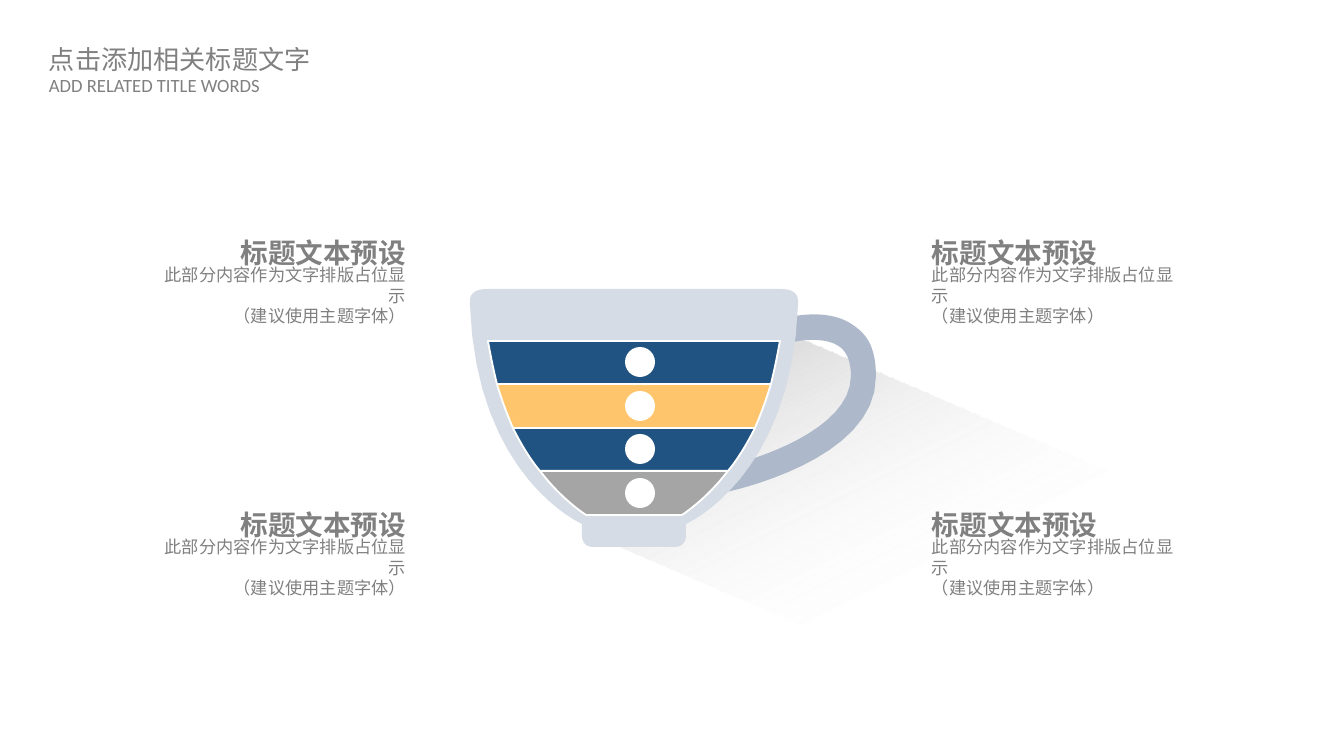
"""Build the layered cup slide with its four captions."""
import copy

import lxml.etree
import pptx
import pptx.dml.color
import pptx.enum.shapes
import pptx.enum.text
import pptx.oxml.ns
import pptx.util

PX = 914400 / 134.4
CUP_AXIS = 634
CURVE_STEPS = 16
CJK, LATIN = "Noto Sans CJK SC", "Calibri"
COLORS = {
    "text": "808080", "cup": "D6DCE5", "handle": "ADB9CA", "navy": "205381",
    "amber": "FFC56C", "gray": "A5A5A5", "white": "FFFFFF",
    "glow": "4991D2", "shade": "BFBFBF",
}
ALIGN = pptx.enum.text.PP_ALIGN
ANCHOR = pptx.enum.text.MSO_ANCHOR
SHAPES = pptx.enum.shapes.MSO_SHAPE

HANDLE = [
    [(722, 493)], [(718, 468)],
    [(754, 461), (851, 430), (851, 376)], [(851, 362), (847, 352), (840, 347)],
    [(824, 335), (793, 341), (782, 345)], [(774, 321)],
    [(780, 319), (825, 305), (853, 325)], [(870, 336), (876, 352), (876, 376)],
    [(877, 461), (728, 492), (722, 493)],
]
CUP_LEFT = [
    [(488, 289)], [(468, 289), (470, 300), (470, 305)],
    [(476, 478), (582, 524), (582, 524)], [(582, 536)],
    [(582, 536), (582, 547), (593, 547)],
]
BANDS = [
    ("navy", [[(488, 341)], [(491, 358), (494, 372), (497, 384)]]),
    ("amber", [[(497, 384)], [(502, 401), (507, 414), (513, 428)]]),
    ("navy", [[(513, 428)], [(521, 444), (530, 459), (540, 471)]]),
    ("gray", [[(540, 471)], [(562, 500), (586, 515), (586, 515)]]),
]


def px(length):
    return pptx.util.Emu(round(length * PX))


def rgb(name):
    return pptx.dml.color.RGBColor.from_string(COLORS[name])


def set_all(target, values):
    for name, value in values.items():
        setattr(target, name, value)


def trace(segments):
    """Turn line and cubic segments into a list of points."""
    points = []
    for segment in segments:
        if len(segment) == 1:
            points += segment
            continue
        controls = [points[-1], *segment]
        for step in range(1, CURVE_STEPS + 1):
            t = step / CURVE_STEPS
            weights = ((1 - t) ** 3, 3 * t * (1 - t) ** 2, 3 * t * t * (1 - t), t ** 3)
            points.append(tuple(sum(w * c[axis] for w, c in zip(weights, controls))
                                for axis in (0, 1)))
    return points


def mirror(left):
    """Close a left profile with its reflection about the cup axis."""
    return left + [(2 * CUP_AXIS - x, y) for x, y in reversed(left)]


def paint(shape, fill, line=None):
    shape.shadow.inherit = False
    shape.fill.solid()
    shape.fill.fore_color.rgb = rgb(fill)
    if line:
        shape.line.color.rgb = rgb(line)
        shape.line.width = pptx.util.Pt(1)
    else:
        shape.line.fill.background()


def add_outline(slide, points, fill, line=None):
    start, *rest = [(px(x), px(y)) for x, y in points]
    builder = slide.shapes.build_freeform(*start, scale=1.0)
    builder.add_line_segments(rest, close=True)
    paint(builder.convert_to_shape(), fill, line)


def add_cast_shadow(slide):
    """Add the tilted rectangle that fades out to the lower right."""
    cast = slide.shapes.add_shape(SHAPES.RECTANGLE, px(636), px(419), px(648), px(263))
    paint(cast, "shade")
    cast.rotation = 23.3
    qn = pptx.oxml.ns.qn
    fade = lxml.etree.Element(qn("a:gradFill"), rotWithShape="1")
    stops = lxml.etree.SubElement(fade, qn("a:gsLst"))
    for place, color, alpha in ((0, "glow", 54), (0, "shade", 100), (54, "white", 0)):
        stop = lxml.etree.SubElement(stops, qn("a:gs"), pos=str(place * 1000))
        tint = lxml.etree.SubElement(stop, qn("a:srgbClr"), val=COLORS[color])
        if alpha < 100:
            lxml.etree.SubElement(tint, qn("a:alpha"), val=str(alpha * 1000))
    lxml.etree.SubElement(fade, qn("a:lin"), ang=str(40 * 60000), scaled="0")
    solid = cast._element.spPr.find(qn("a:solidFill"))
    solid.getparent().replace(solid, fade)


def add_text(slide, box, words, size, face=CJK, bold=False, inset=0,
             wrap=True, anchor=ANCHOR.TOP, align=ALIGN.LEFT):
    qn = pptx.oxml.ns.qn
    frame = slide.shapes.add_textbox(*map(px, box)).text_frame
    set_all(frame, {
        "word_wrap": wrap, "vertical_anchor": anchor,
        "margin_left": px(11), "margin_right": px(11),
        "margin_top": px(inset), "margin_bottom": px(inset),
    })
    paragraph = frame.paragraphs[0]
    paragraph.text = words
    paragraph.alignment = align
    for run in paragraph.runs:
        set_all(run.font, {"name": face, "size": pptx.util.Pt(size), "bold": bold})
        run.font.color.rgb = rgb("text")
        lxml.etree.SubElement(run.font._element, qn("a:ea"), typeface=face)
    for line_break in paragraph._p.findall(qn("a:br")):
        line_break.insert(0, copy.deepcopy(paragraph.runs[0].font._element))


def add_caption(slide, left, top, width, align):
    add_text(slide, (left, top + 27, width, 65),
             "此部分内容作为文字排版占位显示\n（建议使用主题字体）", 9.2,
             anchor=ANCHOR.MIDDLE, align=align)
    add_text(slide, (left, top, width, 27), "标题文本预设", 14.8,
             bold=True, align=align)


def add_cup(slide):
    add_outline(slide, trace(HANDLE), "handle")
    add_outline(slide, mirror(trace(CUP_LEFT)), "cup")
    for color, profile in BANDS:
        side = trace(profile)
        add_outline(slide, mirror(side), color, "white")
        middle = (side[0][1] + side[-1][1]) // 2
        marker = slide.shapes.add_shape(
            SHAPES.OVAL, px(625), px(middle - 15), px(30), px(30))
        paint(marker, "white")


def main():
    deck = pptx.Presentation()
    set_all(deck, {"slide_width": px(1344), "slide_height": px(756)})
    slide = deck.slides.add_slide(deck.slide_layouts[6])
    add_text(slide, (38, 38, 300, 42), "点击添加相关标题文字", 14,
             inset=5, wrap=False)
    add_text(slide, (38, 69, 235, 32), "ADD RELATED TITLE WORDS", 10,
             face=LATIN, inset=5, wrap=False)
    add_cast_shadow(slide)
    add_cup(slide)
    for top in (236, 508):
        add_caption(slide, 151, top, 266, ALIGN.RIGHT)
        add_caption(slide, 921, top, 271, ALIGN.LEFT)
    deck.save("out.pptx")


if __name__ == "__main__":
    main()
